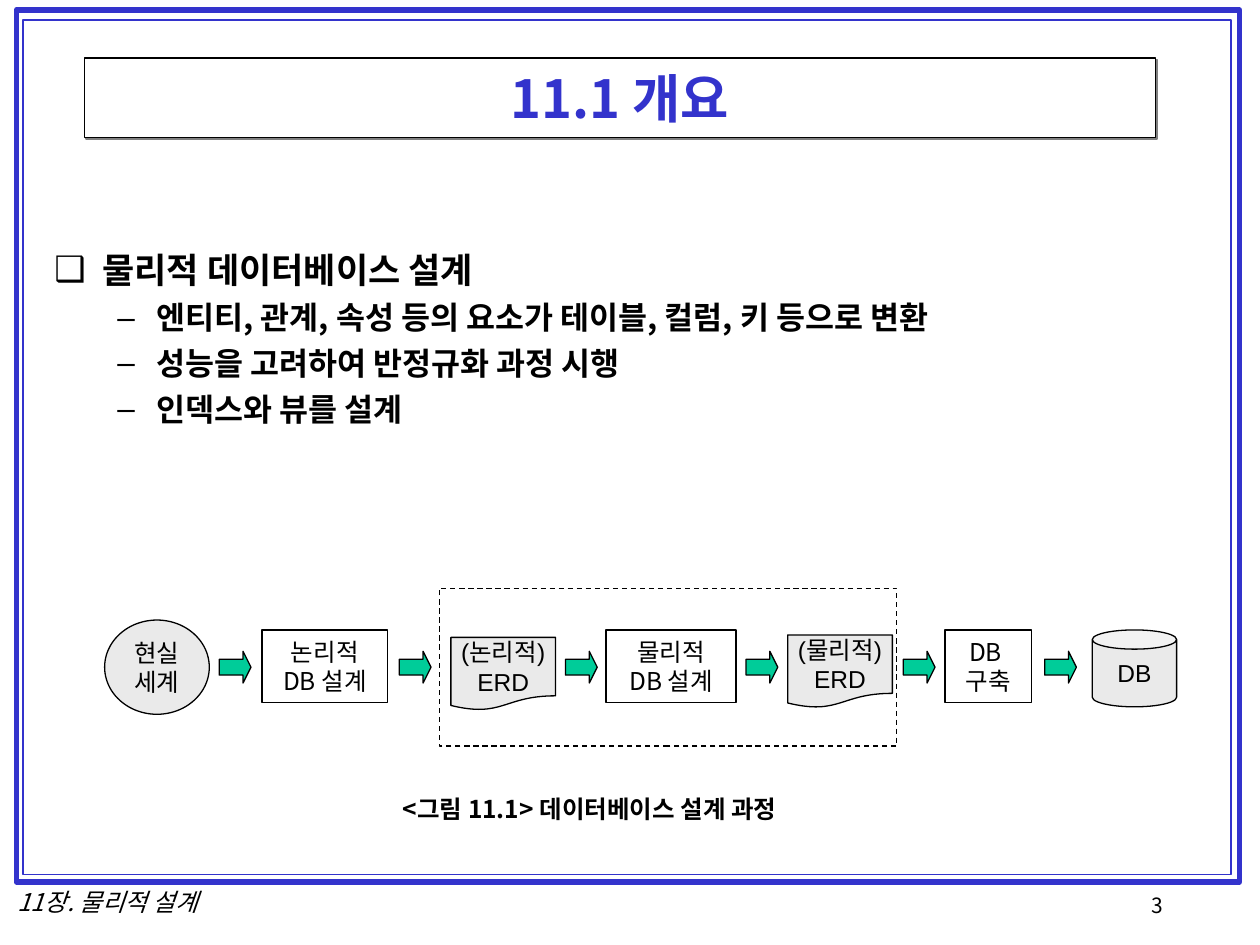
import pptx
import pptx.util
import pptx.dml.color
import pptx.enum.dml
import pptx.enum.shapes
import pptx.enum.text
import pptx.oxml
import pptx.oxml.ns

Cm = pptx.util.Cm
Pt = pptx.util.Pt
RGB = pptx.dml.color.RGBColor
KIND = pptx.enum.shapes.MSO_SHAPE
ALIGN = pptx.enum.text.PP_ALIGN
ANCHOR = pptx.enum.text.MSO_ANCHOR
FIT = pptx.enum.text.MSO_AUTO_SIZE

BLUE = RGB(0x33, 0x33, 0xCC)
GREEN = RGB(0x00, 0xCC, 0x99)
GRAY = RGB(0xEA, 0xEA, 0xEA)
WHITE = RGB(0xFF, 0xFF, 0xFF)
BLACK = RGB(0, 0, 0)

KOREAN = "Noto Sans CJK KR"
SHADOW = """<a:effectLst %s><a:outerShdw dist="17780" dir="2700000">
<a:srgbClr val="808080"/></a:outerShdw></a:effectLst>"""


def parse(text):
    return pptx.oxml.parse_xml(text % pptx.oxml.ns.nsdecls("a"))


class Deck:
    """Style and current slide."""

    def __init__(self):
        self.file = pptx.Presentation()
        self.file.slide_width, self.file.slide_height = Cm(25.4), Cm(19.05)
        self.slide = self.file.slides.add_slide(self.file.slide_layouts[1])

    def place(self, shape, box):
        shape.left, shape.top, shape.width, shape.height = map(Cm, box)

    def run(self, para, text, size=14, font=KOREAN, color=BLACK,
            bold=False, italic=False):
        run = para.add_run()
        run.text = text
        style = run.font
        style.size, style.name = Pt(size), font
        style.bold, style.italic = bold, italic
        style.color.rgb = color
        latin = run._r.rPr.find(pptx.oxml.ns.qn("a:latin"))
        latin.addnext(parse(f'<a:ea %s typeface="{KOREAN}"/>'))

    def outline(self, shape, fill=None, line=BLACK, width=0.75):
        if fill is None:
            shape.fill.background()
        else:
            shape.fill.solid()
            shape.fill.fore_color.rgb = fill
        shape.line.color.rgb = line
        shape.line.width = Pt(width)

    def title(self, text, box):
        shape = self.slide.shapes.title
        self.place(shape, box)
        self.outline(shape, WHITE)
        shape._element.spPr.append(parse(SHADOW))
        frame = shape.text_frame
        frame.auto_size = FIT.NONE
        frame.vertical_anchor = ANCHOR.MIDDLE
        para = frame.paragraphs[0]
        para.alignment = ALIGN.CENTER
        self.run(para, text, 30, color=BLUE, bold=True)

    def list(self, items, box):
        """Fill the body with (level, text) items."""
        # bullet, size, space before, left margin, hanging indent
        looks = [("❑", 20, 5, 0.97, 0.97), ("–", 18, 4.5, 2.06, 0.79)]
        shape = self.slide.placeholders[1]
        self.place(shape, box)
        frame = shape.text_frame
        frame.auto_size = FIT.NONE
        for i, (level, text) in enumerate(items):
            mark, size, space, left, hang = looks[level]
            para = frame.add_paragraph() if i else frame.paragraphs[0]
            para.level = level
            para.space_before = Pt(space)
            props = para._p.get_or_add_pPr()
            props.set("marL", str(Cm(left)))
            props.set("indent", str(-Cm(hang)))
            props.append(parse('<a:buClr %s><a:srgbClr val="000000"/></a:buClr>'))
            props.append(parse(f'<a:buChar %s char="{mark}"/>'))
            self.run(para, text, size, bold=True)

    def shape(self, kind, box, fill=None, lines=(), font=KOREAN,
              line=BLACK, width=0.75):
        shape = self.slide.shapes.add_shape(kind, *map(Cm, box))
        shape.shadow.inherit = False
        self.outline(shape, fill, line, width)
        frame = shape.text_frame
        frame.word_wrap = False
        frame.vertical_anchor = ANCHOR.MIDDLE
        for i, text in enumerate(lines):
            para = frame.add_paragraph() if i else frame.paragraphs[0]
            para.alignment = ALIGN.CENTER
            self.run(para, text, font=font)
        return shape

    def arrow(self, left):
        shape = self.shape(KIND.RIGHT_ARROW, (left, 13.13, 0.64, 0.64), GREEN)
        shape.adjustments[0], shape.adjustments[1] = 0.5, 0.25

    def label(self, text, box, wrap=False, **style):
        frame = self.slide.shapes.add_textbox(*map(Cm, box)).text_frame
        frame.word_wrap = wrap
        para = frame.paragraphs[0]
        para.alignment = ALIGN.LEFT
        self.run(para, text, **style)


def main():
    deck = Deck()
    deck.shape(KIND.RECTANGLE, (0.33, 0.2, 24.66, 17.58), line=BLUE, width=3)
    deck.shape(KIND.RECTANGLE, (0.46, 0.41, 24.36, 17.22), line=BLUE, width=1)
    deck.label("3", (22.96, 17.86, 2.59, 0.84), size=12)
    deck.label("11장. 물리적 설계", (0.1, 17.75, 4.52, 0.86), italic=True)

    deck.title("11.1 개요", (1.7, 1.17, 21.59, 1.6))
    deck.list([
        (0, "물리적 데이터베이스 설계"),
        (1, "엔티티, 관계, 속성 등의 요소가 테이블, 컬럼, 키 등으로 변환"),
        (1, "성능을 고려하여 반정규화 과정 시행"),
        (1, "인덱스와 뷰를 설계"),
    ], (0.84, 4.88, 23.55, 12.34))

    scope = deck.shape(KIND.RECTANGLE, (8.86, 11.86, 9.22, 3.18))
    scope.line.dash_style = pptx.enum.dml.MSO_LINE.DASH

    deck.shape(KIND.OVAL, (2.11, 12.5, 2.11, 1.9), GRAY,
               ["현실", "세계"], "Times New Roman")
    steps = [(5.28, 2.54, ["논리적", "DB 설계"]),
             (12.22, 2.62, ["물리적", "DB 설계"]),
             (19.05, 1.75, ["DB ", "구축"])]
    for left, width, lines in steps:
        deck.shape(KIND.RECTANGLE, (left, 12.7, width, 1.47), WHITE, lines)
    for left, top, name in [(9.09, 12.85, "(논리적)"), (15.88, 12.8, "(물리적)")]:
        deck.shape(KIND.FLOWCHART_DOCUMENT, (left, top, 2.11, 1.47), GRAY,
                   [name, "ERD"], "Arial")
    store = deck.shape(KIND.CAN, (22.02, 12.7, 1.7, 1.55), GRAY, ["DB"], "Arial")
    store.adjustments[0] = 0.25
    for left in (4.42, 8.05, 11.4, 15.04, 18.21, 21.06):
        deck.arrow(left)

    deck.label("<그림 11.1> 데이터베이스 설계 과정", (7.87, 15.88, 8.43, 0.86),
               wrap=True, bold=True)
    deck.file.save("out.pptx")


if __name__ == "__main__":
    main()
